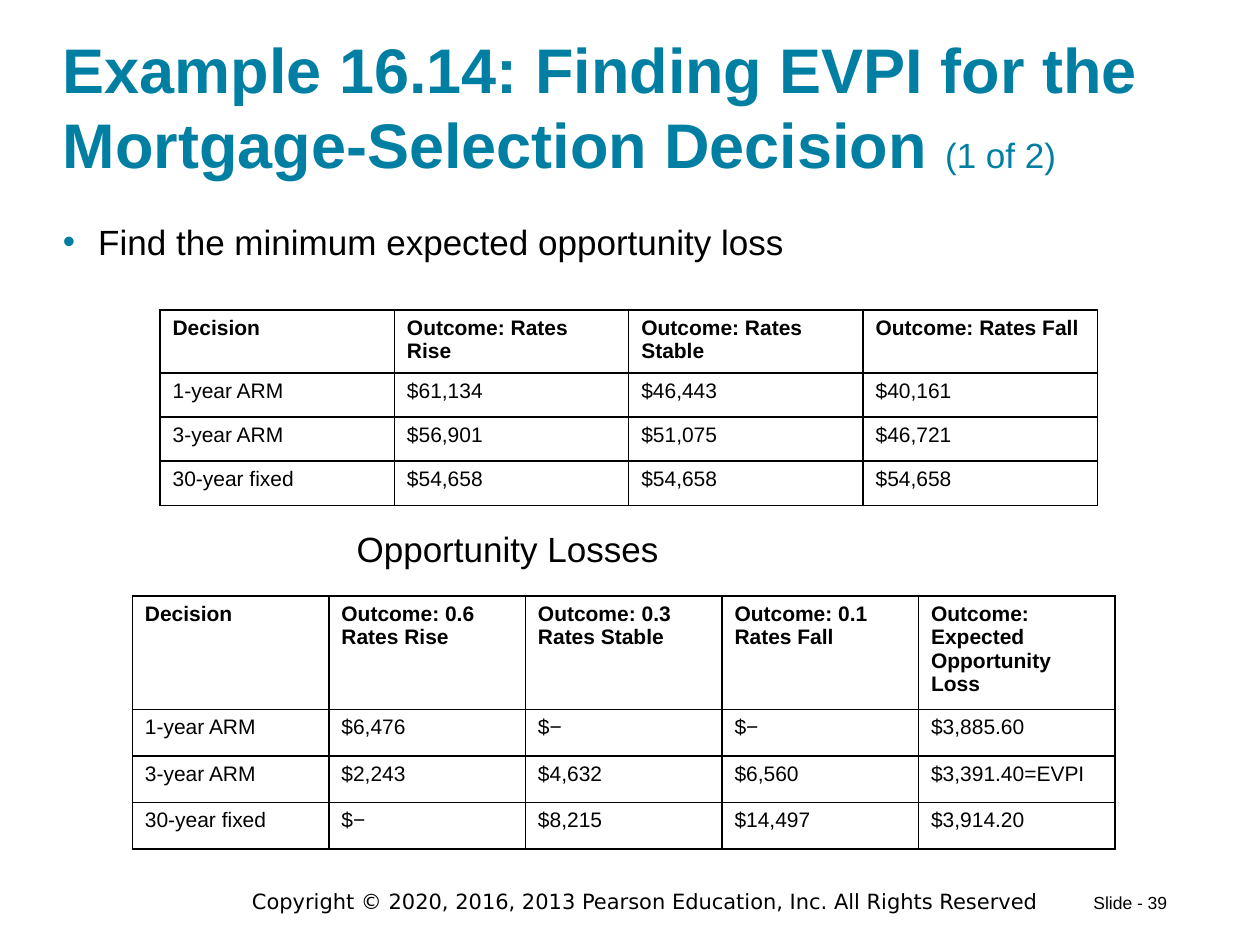
from lxml import etree
from pptx import Presentation
from pptx.dml.color import RGBColor
from pptx.enum.text import MSO_ANCHOR, PP_ALIGN
from pptx.oxml.ns import qn
from pptx.util import Inches, Pt

TOP, BOTTOM = MSO_ANCHOR.TOP, MSO_ANCHOR.BOTTOM
LEFT, CENTER = PP_ALIGN.LEFT, PP_ALIGN.CENTER
TEAL = RGBColor(0x00, 0x7F, 0xA3)
BLACK = RGBColor(0x00, 0x00, 0x00)


def add_text(box, runs, insets=(0, 0, 0, 0), anchor=TOP, align=LEFT, bullet=None):
    """Add a text box; runs are (text, font attributes) pairs."""
    tf = s.shapes.add_textbox(*map(Inches, box)).text_frame
    tf.word_wrap = True
    tf.vertical_anchor = anchor
    for side, inset in zip(("left", "top", "right", "bottom"), insets):
        setattr(tf, f"margin_{side}", Inches(inset))
    p = tf.paragraphs[0]
    p.alignment = align
    if bullet:
        pPr = p._p.get_or_add_pPr()
        pPr.set("marL", str(Inches(0.28)))
        pPr.set("indent", str(-Inches(0.28)))
        color = etree.SubElement(pPr, qn("a:buClr"))
        etree.SubElement(color, qn("a:srgbClr"), val=str(bullet))
        etree.SubElement(pPr, qn("a:buFont"), typeface="Arial")
        etree.SubElement(pPr, qn("a:buChar"), char="•")
    for text, (name, size, bold, color) in runs:
        r = p.add_run()
        r.text = text
        r.font.name, r.font.size, r.font.bold = name, Pt(size), bold
        r.font.color.rgb = color


def add_grid(left, top, col_width, heights, rows):
    table = s.shapes.add_table(
        len(rows), len(rows[0]), Inches(left), Inches(top),
        Inches(col_width * len(rows[0])), Inches(sum(heights))).table
    for col in table.columns:
        col.width = Inches(col_width)
    for i, (height, values) in enumerate(zip(heights, rows)):
        table.rows[i].height = Inches(height)
        for j, value in enumerate(values):
            cell = table.cell(i, j)
            cell.text = value
            font = cell.text_frame.paragraphs[0].runs[0].font
            font.name, font.size, font.bold = "Arial", Pt(12), i == 0
            font.color.rgb = BLACK
            tcPr = cell._tc.get_or_add_tcPr()
            for side in ("lnL", "lnR", "lnT", "lnB"):
                ln = etree.SubElement(tcPr, qn(f"a:{side}"), w=str(Pt(1)))
                fill = etree.SubElement(ln, qn("a:solidFill"))
                etree.SubElement(fill, qn("a:srgbClr"), val=str(BLACK))
            cell.fill.background()


prs = Presentation()
prs.slide_width, prs.slide_height = Inches(10), Inches(7.5)
s = prs.slides.add_slide(prs.slide_layouts[6])

BODY = ("Arial", 20, False, BLACK)
FOOTER_INSETS = (0.1, 0.05, 0.1, 0.05)

add_text((1.83, 7, 6.58, 0.3),
         [("Copyright © 2020, 2016, 2013 Pearson Education, Inc. All Rights Reserved",
           ("DejaVu Sans", 12, False, BLACK))],
         insets=FOOTER_INSETS, align=CENTER)
add_text((8.58, 7.03, 0.81, 0.27), [("Slide - 39", ("Arial", 10, False, BLACK))],
         insets=FOOTER_INSETS)
add_text((0.5, 0.24, 9, 1.2),
         [("Example 16.14: Finding EVPI for the Mortgage-Selection Decision ",
           ("Arial", 36, True, TEAL)),
          ("(1 of 2)", ("Arial", 20, False, TEAL))],
         insets=(0, 0.1, 0, 0), anchor=BOTTOM)
add_text((0.5, 1.75, 8.66, 0.57),
         [("Find the minimum expected opportunity loss", BODY)], bullet=TEAL)

add_grid(1.27, 2.46, 1.86, [0.48] + [0.35] * 3, [
    ("Decision", "Outcome: Rates Rise", "Outcome: Rates Stable", "Outcome: Rates Fall"),
    ("1-year ARM", "$61,134", "$46,443", "$40,161"),
    ("3-year ARM", "$56,901", "$51,075", "$46,721"),
    ("30-year fixed", "$54,658", "$54,658", "$54,658"),
])

add_text((2.83, 4.19, 3.02, 0.33), [("Opportunity Losses", BODY)], anchor=BOTTOM)

add_grid(1.05, 4.73, 1.56, [0.84] + [0.37] * 3, [
    ("Decision", "Outcome: 0.6 Rates Rise", "Outcome: 0.3 Rates Stable",
     "Outcome: 0.1 Rates Fall", "Outcome: Expected Opportunity Loss"),
    ("1-year ARM", "$6,476", "$−", "$−", "$3,885.60"),
    ("3-year ARM", "$2,243", "$4,632", "$6,560", "$3,391.40=EVPI"),
    ("30-year fixed", "$−", "$8,215", "$14,497", "$3,914.20"),
])

prs.save("out.pptx")
